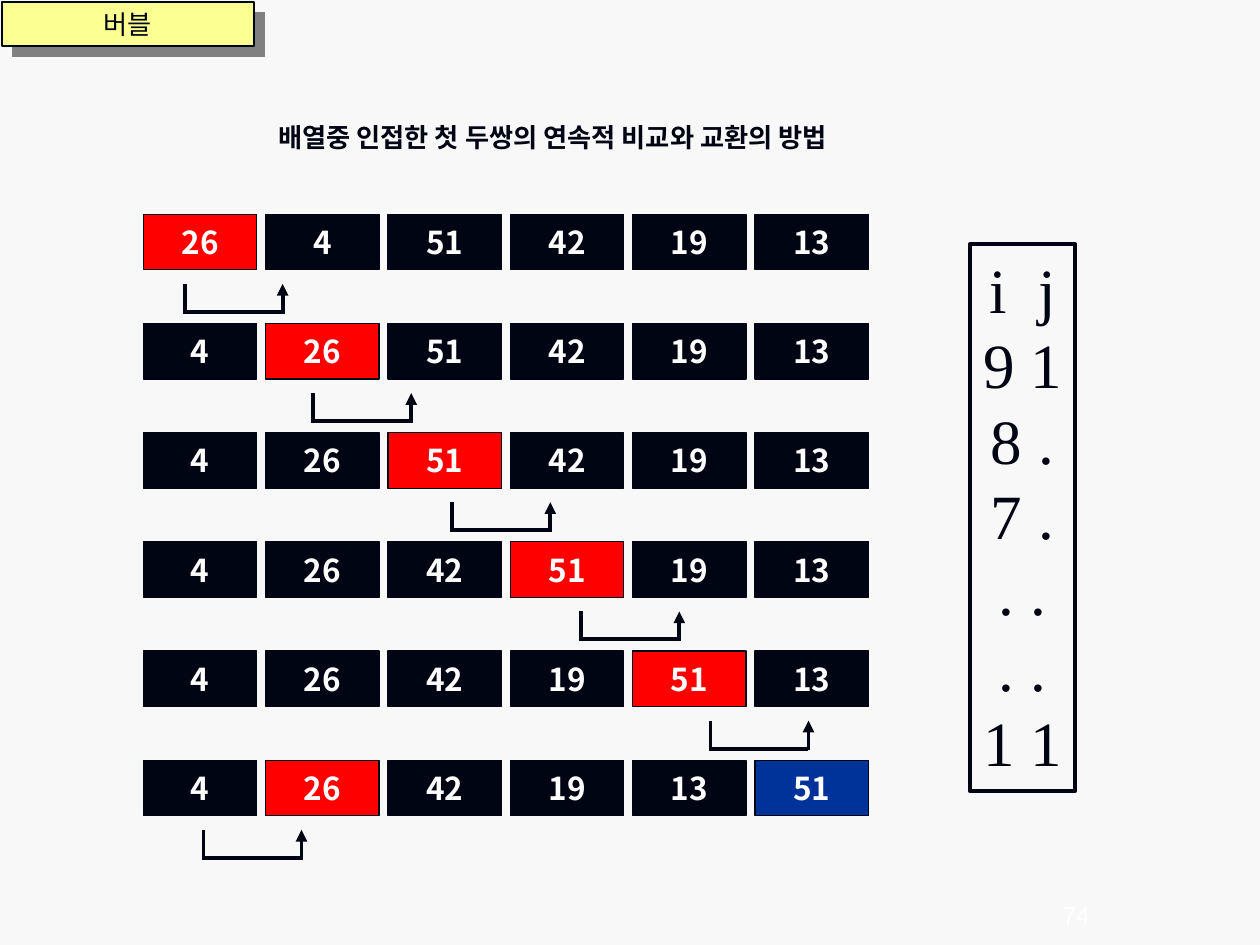
from lxml.etree import SubElement
from pptx import Presentation
from pptx.dml.color import RGBColor
from pptx.enum.shapes import MSO_CONNECTOR as Connector, MSO_SHAPE as Shape
from pptx.enum.text import MSO_ANCHOR as Anchor, MSO_AUTO_SIZE as AutoSize, PP_ALIGN as Align
from pptx.oxml.ns import qn
from pptx.util import Pt

INK, RED, BLUE, WHITE = "000514", "FF0000", "003399", "FFFFFF"
YELLOW, GRAY, PAPER = "FCFF91", "808080", "F8F8F8"

CELL_LEFT, CELL_TOP = 82, 122.4
CELL_WIDTH, CELL_HEIGHT = 64.8, 31.8
COLUMN_STEP, ROW_STEP = 69.9, 62.4

# Numbers, highlighted column, left edge of the swap arrow below
STEPS = [
    ([26, 4, 51, 42, 19, 13], 0, 105.5),
    ([4, 26, 51, 42, 19, 13], 1, 179),
    ([4, 26, 51, 42, 19, 13], 2, 258.5),
    ([4, 26, 42, 51, 19, 13], 3, 332.2),
    ([4, 26, 42, 19, 51, 13], 4, 406),
    ([4, 26, 42, 19, 13, 51], 1, 116.3),
]
SORTED_CELL = (5, 5)
LOOP_COUNTERS = ["i  j", "9 1", "8 .", "7 .", ". .", ". .", "1 1"]


def color(value):
    return RGBColor.from_string(value)


def write(box, lines, size=18, font="Times New Roman", ink=INK, bold=False,
          anchor=Anchor.TOP, wrap=False, grow=False):
    frame = box.text_frame
    frame.word_wrap = wrap
    frame.auto_size = AutoSize.SHAPE_TO_FIT_TEXT if grow else AutoSize.NONE
    frame.vertical_anchor = anchor
    for index, line in enumerate(lines):
        para = frame.paragraphs[0] if index == 0 else frame.add_paragraph()
        para.alignment = Align.CENTER
        span = para.add_run()
        span.text = line
        span.font.size = Pt(size)
        span.font.name = font
        span.font.bold = bold
        span.font.color.rgb = color(ink)


def add_box(page, left, top, width, height, fill=None, line_width=0.75):
    box = page.shapes.add_shape(Shape.RECTANGLE, Pt(left), Pt(top), Pt(width), Pt(height))
    box.shadow.inherit = False
    if fill:
        box.fill.solid()
        box.fill.fore_color.rgb = color(fill)
    else:
        box.fill.background()
    box.line.color.rgb = color(INK)
    box.line.width = Pt(line_width)
    return box


def add_text(page, left, top, width, height, line, **style):
    box = page.shapes.add_textbox(Pt(left), Pt(top), Pt(width), Pt(height))
    write(box, [line], **style)


def add_hard_shadow(box, value, distance):
    """Drop an unblurred shadow towards the lower right."""
    effects = box._element.spPr.find(qn("a:effectLst"))
    shadow = SubElement(effects, qn("a:outerShdw"), dist=str(Pt(distance)),
                        dir="2700000", algn="ctr", rotWithShape="0")
    SubElement(shadow, qn("a:srgbClr"), val=value)


def add_line(group, x1, y1, x2, y2, arrow=False):
    line = group.shapes.add_connector(Connector.STRAIGHT, Pt(x1), Pt(y1), Pt(x2), Pt(y2))
    line.line.color.rgb = color(INK)
    line.line.width = Pt(2.25)
    if arrow:
        SubElement(line.line._get_or_add_ln(), qn("a:tailEnd"), type="triangle")
    SubElement(line._element.spPr, qn("a:effectLst"))


def add_swap_arrow(page, left, top):
    """Draw a bracket that goes down, right and up to an arrowhead."""
    group = page.shapes.add_group_shape()
    right, bottom = left + 56, top + 17
    add_line(group, left, top, left, bottom)
    add_line(group, left - 0.6, bottom - 1, right, bottom - 1)
    add_line(group, right, bottom, right, top, arrow=True)


def add_step(page, row, numbers, highlighted, arrow_left):
    top = CELL_TOP + row * ROW_STEP
    for column, number in enumerate(numbers):
        fill = RED if column == highlighted else INK
        if (row, column) == SORTED_CELL:
            fill = BLUE
        cell = add_box(page, CELL_LEFT + column * COLUMN_STEP, top,
                       CELL_WIDTH, CELL_HEIGHT, fill)
        write(cell, [str(number)], font="Noto Sans CJK KR", ink=WHITE,
              bold=True, anchor=Anchor.MIDDLE)
    add_swap_arrow(page, arrow_left, top + 39.8)


def main():
    deck = Presentation()
    deck.slide_width, deck.slide_height = Pt(720), Pt(540)
    page = deck.slides.add_slide(deck.slide_layouts[6])
    page.background.fill.solid()
    page.background.fill.fore_color.rgb = color(PAPER)

    for row, step in enumerate(STEPS):
        add_step(page, row, *step)

    add_text(page, 139, 65.5, 353.5, 25.2, "배열중 인접한 첫 두쌍의 연속적 비교와 교환의 방법",
             size=15, bold=True, grow=True)

    counters = add_box(page, 554.4, 139.4, 59.8, 312.8, line_width=2.25)
    write(counters, LOOP_COUNTERS, size=36, grow=True)

    title = add_box(page, 1.2, 1.2, 144, 25.2, YELLOW)
    add_hard_shadow(title, GRAY, 8.5)
    write(title, ["버블"], size=15, font="Arial", wrap=True, grow=True)

    add_text(page, 590, 510, 50, 25, "74", size=14, font="Arial", ink=WHITE,
             anchor=Anchor.MIDDLE)
    deck.save("out.pptx")


if __name__ == "__main__":
    main()
